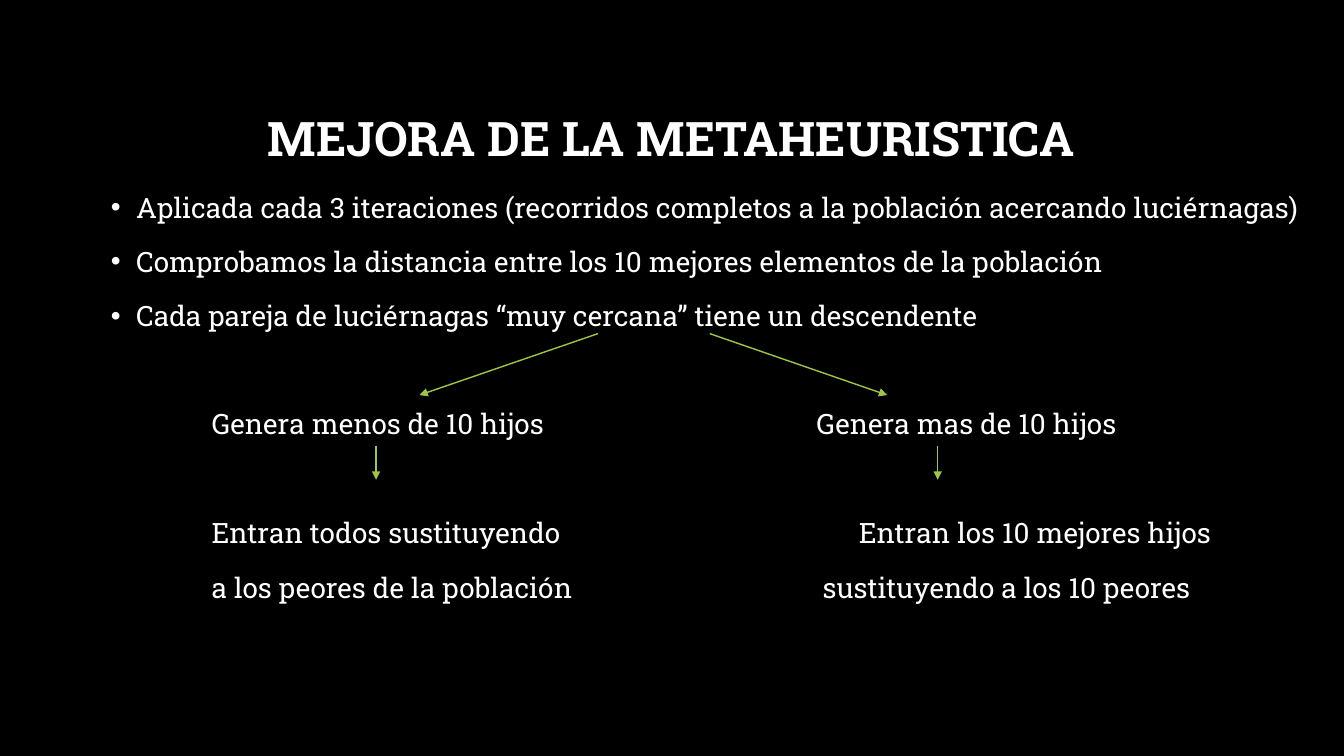
from lxml.etree import SubElement
from pptx import Presentation
from pptx.dml.color import RGBColor
from pptx.enum.shapes import MSO_CONNECTOR
from pptx.enum.text import MSO_ANCHOR, MSO_AUTO_SIZE, PP_ALIGN
from pptx.oxml.ns import qn
from pptx.util import Inches, Pt

BLACK = RGBColor(0x00, 0x00, 0x00)
WHITE = RGBColor(0xFF, 0xFF, 0xFF)
GREEN = RGBColor(0x9E, 0xC5, 0x44)
FONT = "Roboto Slab"
LINE_GAP = 10
BLOCK_GAP = 49

STEPS = [
    "Aplicada cada 3 iteraciones (recorridos completos a la población acercando luciérnagas)",
    "Comprobamos la distancia entre los 10 mejores elementos de la población",
    "Cada pareja de luciérnagas “muy cercana” tiene un descendente",
]
# Left edge of each branch, then its lines with their indents
BRANCHES = [
    (2, [
        ("Genera menos de 10 hijos", 0),
        ("Entran todos sustituyendo", 0),
        ("a los peores de la población", 0),
    ]),
    (8, [
        ("Genera mas de 10 hijos", 0),
        ("Entran los 10 mejores hijos", 0.42),
        ("sustituyendo a los 10 peores", 0.06),
    ]),
]
BRANCH_GAPS = [0, BLOCK_GAP, LINE_GAP]
ARROWS = [
    (5.93, 3.31, 4.16, 3.92),
    (7.04, 3.31, 8.8, 3.92),
    (3.73, 4.42, 3.73, 4.76),
    (9.3, 4.42, 9.3, 4.76),
]


def place(shape, left, top, width, height):
    shape.left, shape.top = Inches(left), Inches(top)
    shape.width, shape.height = Inches(width), Inches(height)


def write(paragraph, text, size, spacing, gap=0, bold=False):
    paragraph.text = text
    paragraph.line_spacing = spacing
    paragraph.space_before = Pt(gap)
    for run in paragraph.runs:
        run.font.name = FONT
        run.font.size = Pt(size)
        run.font.bold = bold
        run.font.color.rgb = WHITE


prs = Presentation()
prs.slide_width, prs.slide_height = Inches(13.33), Inches(7.5)
slide = prs.slides.add_slide(prs.slide_layouts[1])
slide.background.fill.solid()
slide.background.fill.fore_color.rgb = BLACK

title = slide.shapes.title
place(title, 1, 0.67, 11.32, 1.45)
title.text_frame.vertical_anchor = MSO_ANCHOR.MIDDLE
heading = title.text_frame.paragraphs[0]
heading.alignment = PP_ALIGN.CENTER
write(heading, "MEJORA DE LA METAHEURISTICA", 34, 0.9, bold=True)

body = slide.placeholders[1]
place(body, 1, 1.77, 12.04, 2)
frame = body.text_frame
frame.auto_size = MSO_AUTO_SIZE.NONE
frame.word_wrap = True

for index, step in enumerate(STEPS):
    paragraph = frame.add_paragraph() if index else frame.paragraphs[0]
    write(paragraph, step, 20, 1.2, LINE_GAP)
    properties = paragraph._p.get_or_add_pPr()
    properties.set("marL", str(Inches(0.25)))
    properties.set("indent", str(Inches(-0.25)))
    SubElement(properties, qn("a:buChar"), char="•")

for left, lines in BRANCHES:
    branch = slide.shapes.add_textbox(Inches(left), Inches(3.92), Inches(4.8), Inches(2.3))
    branch.text_frame.word_wrap = True
    for index, ((line, indent), gap) in enumerate(zip(lines, BRANCH_GAPS)):
        paragraph = branch.text_frame.add_paragraph() if index else branch.text_frame.paragraphs[0]
        write(paragraph, line, 20, 1.2, gap)
        paragraph._p.get_or_add_pPr().set("marL", str(Inches(indent)))

for ends in ARROWS:
    arrow = slide.shapes.add_connector(MSO_CONNECTOR.STRAIGHT, *map(Inches, ends))
    arrow.line.color.rgb = GREEN
    arrow.line.width = Pt(1)
    SubElement(arrow.line._get_or_add_ln(), qn("a:tailEnd"), type="triangle")
    SubElement(arrow._element.spPr, qn("a:effectLst"))

prs.save("out.pptx")
